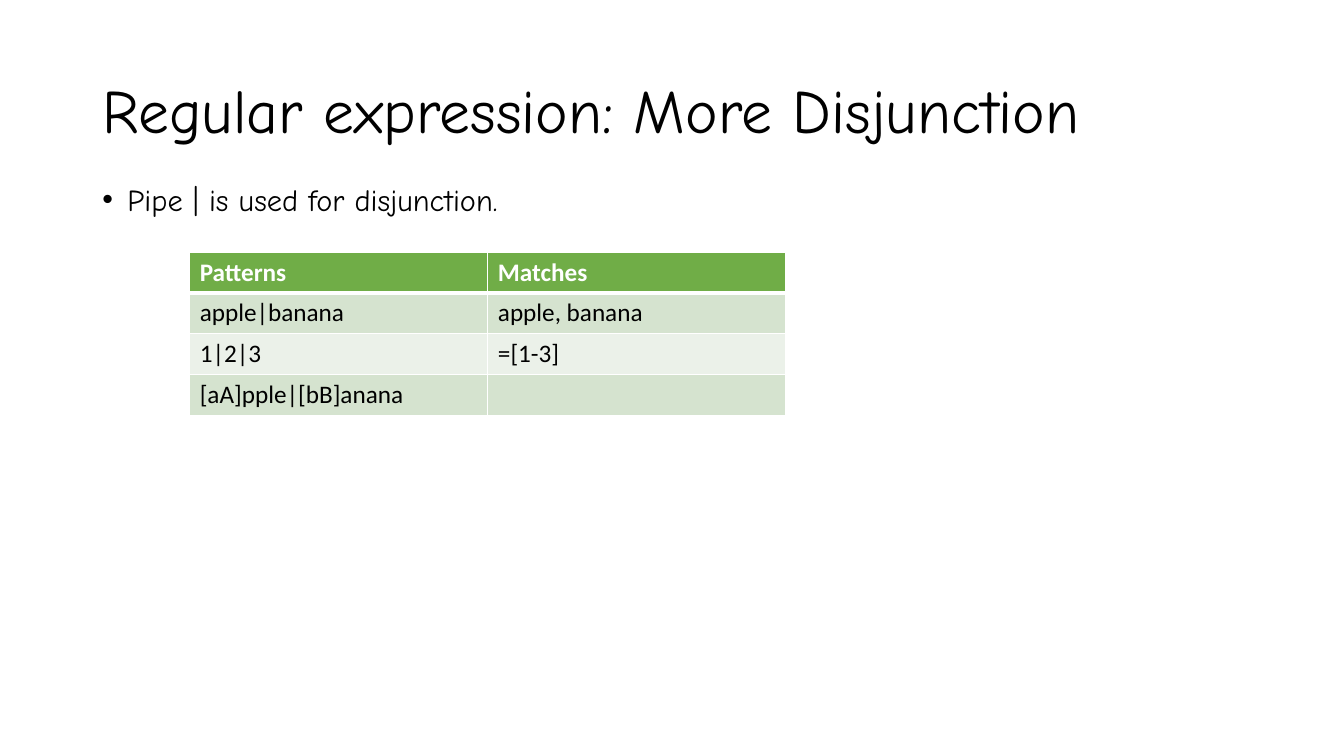
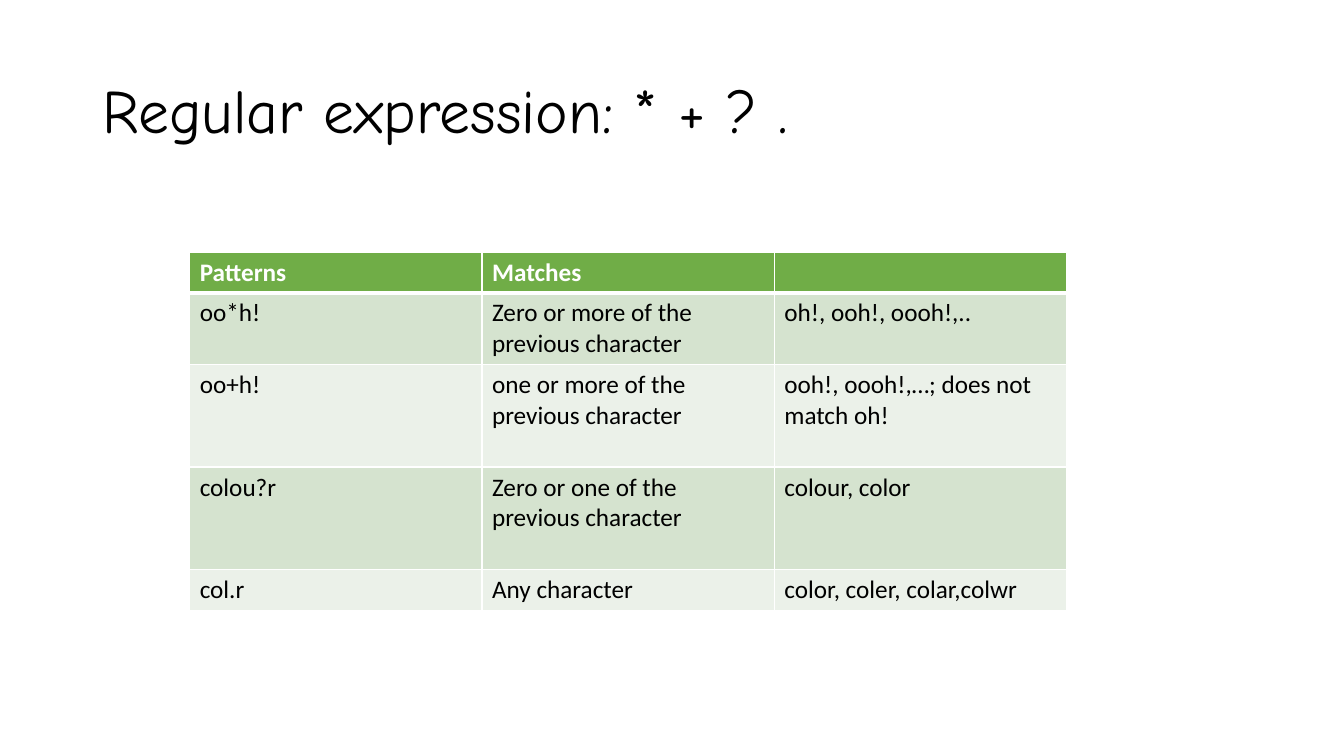
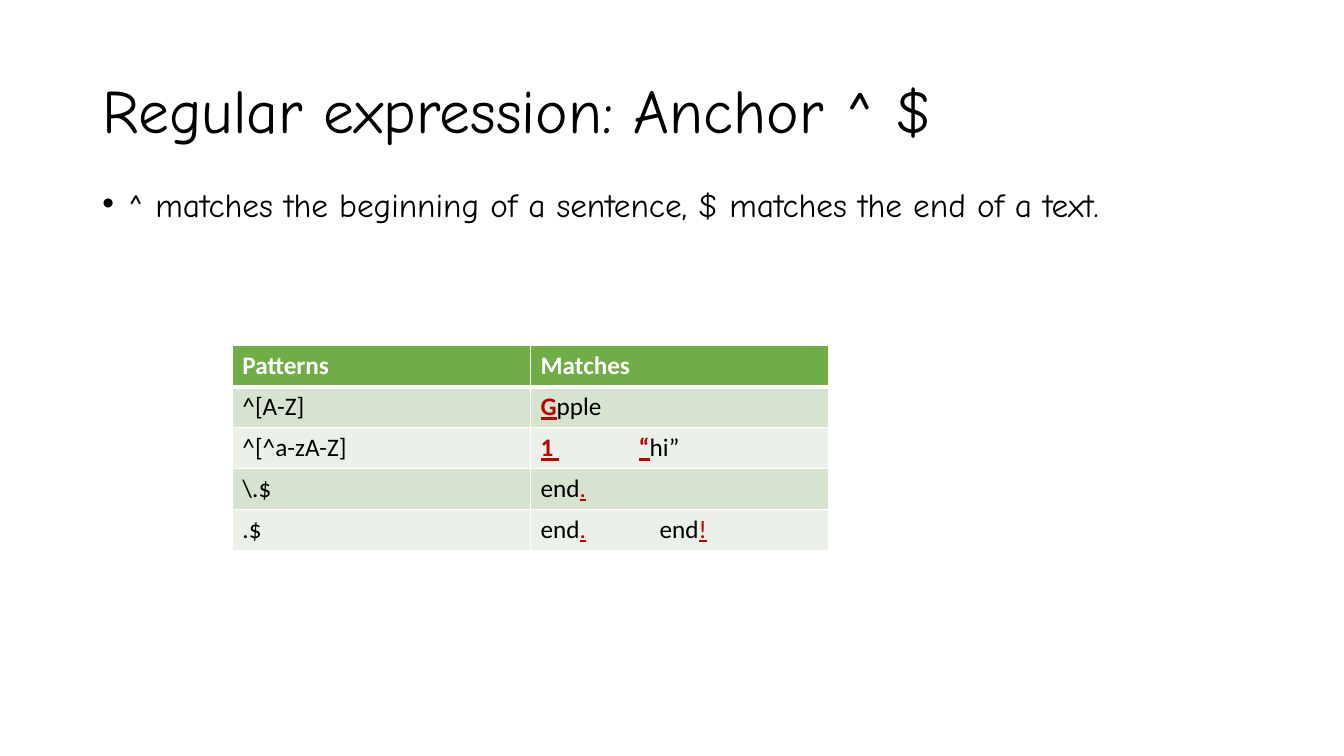
from lxml import etree
from pptx import Presentation
from pptx.dml.color import RGBColor
from pptx.enum.text import MSO_ANCHOR
from pptx.oxml.ns import qn
from pptx.util import Pt

MIDDLE = MSO_ANCHOR.MIDDLE

BLACK = RGBColor(0x00, 0x00, 0x00)
WHITE = RGBColor(0xFF, 0xFF, 0xFF)
GREEN = RGBColor(0x70, 0xAD, 0x47)
BANDS = (RGBColor(0xD5, 0xE3, 0xCF), RGBColor(0xEB, 0xF1, 0xE9))
RED = RGBColor(0xC0, 0x00, 0x00)

HEADING_FONT = "Comic Neue"
TABLE_FONT = "Calibri"
TABLE_SIZE = 18
MARGIN = 66
TEXT_WIDTH = 828
ROW_HEIGHT = 29.2
THIN, THICK = 1, 3

HEADINGS = ["Patterns", "Matches"]
DISJUNCTIONS = [
    ["apple|banana", "apple, banana"],
    ["1|2|3", "=[1-3]"],
    ["[aA]pple|[bB]anana", ""],
]
QUANTIFIERS = [
    ["oo*h!", "Zero or more of the previous character", "oh!, ooh!, oooh!,.."],
    ["oo+h!", "one or more of the previous character",
     "ooh!, oooh!,…; does not match oh!"],
    ["colou?r", "Zero or one of the previous character", "colour, color"],
    ["col.r", "Any character", "color, coler, colar,colwr"],
]
QUANTIFIER_HEIGHTS = [ROW_HEIGHT, 51.2, 73.2, 73.2, ROW_HEIGHT]


def add_run(paragraph, text, font, size, color=BLACK, bold=False, underline=False):
    run = paragraph.add_run()
    run.text = text
    run.font.name = font
    run.font.size = Pt(size)
    run.font.color.rgb = color
    run.font.bold = bold
    run.font.underline = underline


def hit(text, bold=False):
    return text, {"color": RED, "bold": bold, "underline": True}


def add_line(slide, text, top, height, size, spacing):
    box = slide.shapes.add_textbox(Pt(MARGIN), Pt(top), Pt(TEXT_WIDTH), Pt(height))
    box.text_frame.word_wrap = True
    paragraph = box.text_frame.paragraphs[0]
    paragraph.line_spacing = spacing
    add_run(paragraph, text, HEADING_FONT, size)
    return box.text_frame


def add_titled_slide(deck, title):
    slide = deck.slides.add_slide(deck.slide_layouts[6])
    add_line(slide, title, 28.8, 104.4, 44, 0.9).vertical_anchor = MIDDLE
    return slide


def add_bullet(slide, text, size, spacing):
    paragraph = add_line(slide, text, 133.2, 46.8, size, spacing).paragraphs[0]
    paragraph.space_before = Pt(10)
    properties = paragraph._p.get_or_add_pPr()
    properties.set("marL", str(Pt(18)))
    properties.set("indent", str(-Pt(18)))
    etree.SubElement(properties, qn("a:buFont"), typeface="Arial")
    etree.SubElement(properties, qn("a:buChar"), char="•")


def set_tab_stop(paragraph, position):
    stops = etree.SubElement(paragraph._p.get_or_add_pPr(), qn("a:tabLst"))
    etree.SubElement(stops, qn("a:tab"), pos=str(Pt(position)), algn="l")


def set_borders(cell, top, bottom):
    properties = cell._tc.get_or_add_tcPr()
    widths = {"a:lnL": THIN, "a:lnR": THIN, "a:lnT": top, "a:lnB": bottom}
    for index, (side, width) in enumerate(widths.items()):
        border = etree.Element(qn(side), w=str(Pt(width)))
        fill = etree.SubElement(border, qn("a:solidFill"))
        etree.SubElement(fill, qn("a:srgbClr"), val=str(WHITE))
        properties.insert(index, border)


def fill_cell(cell, content, row):
    header = row == 0
    cell.fill.solid()
    cell.fill.fore_color.rgb = GREEN if header else BANDS[(row - 1) % 2]
    set_borders(cell, THICK if row == 1 else THIN, THICK if header else THIN)
    paragraph = cell.text_frame.paragraphs[0]
    paragraph.font.size = Pt(TABLE_SIZE)
    base = {"color": WHITE, "bold": True} if header else {}
    pieces = [content] if isinstance(content, str) else content
    for piece in pieces:
        text, style = (piece, base) if isinstance(piece, str) else piece
        if text:
            add_run(paragraph, text, TABLE_FONT, TABLE_SIZE, **style)
    return paragraph


def add_pattern_table(slide, rows, left, top, column_width, heights=None):
    heights = heights or [ROW_HEIGHT] * len(rows)
    columns = len(rows[0])
    table = slide.shapes.add_table(
        len(rows), columns, Pt(left), Pt(top),
        Pt(column_width * columns), Pt(sum(heights))).table
    table.first_row = False
    table.horz_banding = False
    for column in table.columns:
        column.width = Pt(column_width)
    for index, (contents, height) in enumerate(zip(rows, heights)):
        table.rows[index].height = Pt(height)
        for cell, content in zip(table.rows[index].cells, contents):
            fill_cell(cell, content, index)
    return table


def build_disjunction(deck):
    slide = add_titled_slide(deck, "Regular expression: More Disjunction")
    add_bullet(slide, "Pipe | is used for disjunction.", 21.7, 0.7)
    add_pattern_table(slide, [HEADINGS] + DISJUNCTIONS, 135.5, 180, 213)


def build_quantifiers(deck):
    slide = add_titled_slide(deck, "Regular expression: * + ? .")
    add_pattern_table(slide, [HEADINGS + [""]] + QUANTIFIERS,
                      135.5, 180, 208.8, QUANTIFIER_HEIGHTS)


def build_anchors(deck):
    slide = add_titled_slide(deck, "Regular expression: Anchor ^ $")
    add_bullet(
        slide,
        "^ matches the beginning of a sentence, $ matches the end of a text.",
        23.8, 0.8)
    anchors = [
        ["^[A-Z]", [hit("G", True), "pple"]],
        ["^[^a-zA-Z]", [hit("1 ", True), "\t", hit("“", True), "hi”"]],
        ["\\.$", ["end", hit(".")]],
        [".$", ["end", hit("."), "\t", "end", hit("!")]],
    ]
    table = add_pattern_table(slide, [HEADINGS] + anchors, 166, 247, 213)
    for row, position in ((2, 70), (4, 85)):
        set_tab_stop(table.cell(row, 1).text_frame.paragraphs[0], position)


def main():
    deck = Presentation()
    deck.slide_width, deck.slide_height = Pt(960), Pt(540)
    build_disjunction(deck)
    build_quantifiers(deck)
    build_anchors(deck)
    deck.save("out.pptx")


if __name__ == "__main__":
    main()
